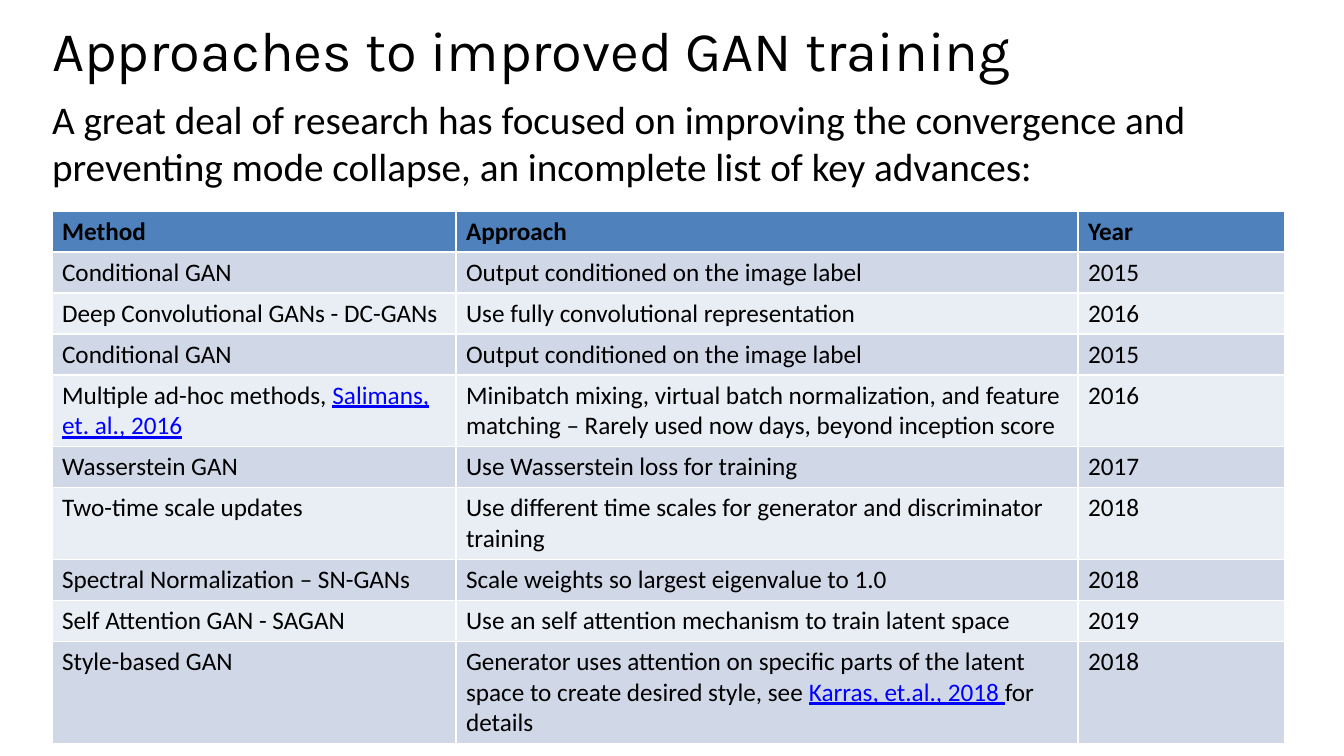
import pptx
import pptx.dml.color
import pptx.enum.text
import pptx.util
from pptx.oxml.xmlchemy import OxmlElement

EMU_PER_PX = 914400 / 100.8
COLORS = {
    "text": "000000",
    "link": "0000FF",
    "header": "4F81BD",
    "odd_row": "D0D8E8",
    "even_row": "E9EDF4",
}
TITLE = "Approaches to improved GAN training"
INTRO = (
    "A great deal of research has focused on improving the convergence and "
    "preventing mode collapse, an incomplete list of key advances:"
)
COLUMN_WIDTHS = (404, 622, 207)
ROW_HEIGHT = 41
# Text between bars is shown as a link.
METHODS = [
    ("Method", "Approach", "Year"),
    ("Conditional GAN", "Output conditioned on the image label", "2015"),
    ("Deep Convolutional GANs - DC-GANs", "Use fully convolutional representation", "2016"),
    ("Conditional GAN", "Output conditioned on the image label", "2015"),
    (
        "Multiple ad-hoc methods, |Salimans, et. al., 2016|",
        "Minibatch mixing, virtual batch normalization, and feature matching"
        " – Rarely used now days, beyond inception score",
        "2016",
    ),
    ("Wasserstein GAN", "Use Wasserstein loss for training", "2017"),
    (
        "Two-time scale updates",
        "Use different time scales for generator and discriminator training",
        "2018",
    ),
    ("Spectral Normalization – SN-GANs", "Scale weights so largest eigenvalue to 1.0", "2018"),
    ("Self Attention GAN - SAGAN", "Use an self attention mechanism to train latent space", "2019"),
    (
        "Style-based GAN",
        "Generator uses attention on specific parts of the latent space to create"
        " desired style, see |Karras, et.al., 2018 |for details",
        "2018",
    ),
]


def px(length):
    return pptx.util.Emu(round(length * EMU_PER_PX))


def rgb(name):
    return pptx.dml.color.RGBColor.from_string(COLORS[name])


def style_font(font, size, family="Calibri", bold=False):
    font.size = pptx.util.Pt(size)
    font.name = family
    font.bold = bold
    font.color.rgb = rgb("text")


def place(placeholder, left, top, width, height):
    placeholder.left, placeholder.top = px(left), px(top)
    placeholder.width, placeholder.height = px(width), px(height)


def fill_title(title):
    place(title, 42, 20, 1270, 70)
    title.text_frame.text = TITLE
    heading = title.text_frame.paragraphs[0]
    heading.alignment = pptx.enum.text.PP_ALIGN.LEFT
    heading.line_spacing = 0.8
    style_font(heading.font, 40, "Karla")


def fill_intro(body):
    place(body, 42, 90, 1270, 614)
    body.text_frame.text = INTRO
    intro = body.text_frame.paragraphs[0]
    intro.space_before = pptx.util.Pt(0)
    properties = intro._p.get_or_add_pPr()
    properties.set("marL", "0")
    properties.set("indent", "0")
    properties.append(OxmlElement("a:buNone"))
    style_font(intro.font, 28)


def fill_cell(cell, text, color, bold):
    cell.fill.solid()
    cell.fill.fore_color.rgb = rgb(color)
    paragraph = cell.text_frame.paragraphs[0]
    style_font(paragraph.font, 18, bold=bold)
    for index, part in enumerate(text.split("|")):
        if not part:
            continue
        run = paragraph.add_run()
        run.text = part
        if index % 2:
            run.font.color.rgb = rgb("link")
            run.font.underline = True


def add_methods_table(slide):
    table = slide.shapes.add_table(
        len(METHODS), len(COLUMN_WIDTHS), px(52), px(211),
        px(sum(COLUMN_WIDTHS)), px(ROW_HEIGHT * len(METHODS)),
    ).table
    for column, width in zip(table.columns, COLUMN_WIDTHS):
        column.width = px(width)
    for row_index, (row, texts) in enumerate(zip(table.rows, METHODS)):
        row.height = px(ROW_HEIGHT)
        is_header = row_index == 0
        color = "header" if is_header else "odd_row" if row_index % 2 else "even_row"
        for cell, text in zip(row.cells, texts):
            fill_cell(cell, text, color, is_header)


def main():
    presentation = pptx.Presentation()
    presentation.slide_width, presentation.slide_height = px(1344), px(756)
    slide = presentation.slides.add_slide(presentation.slide_layouts[1])
    fill_title(slide.shapes.title)
    fill_intro(slide.placeholders[1])
    add_methods_table(slide)
    presentation.save("out.pptx")


if __name__ == "__main__":
    main()
